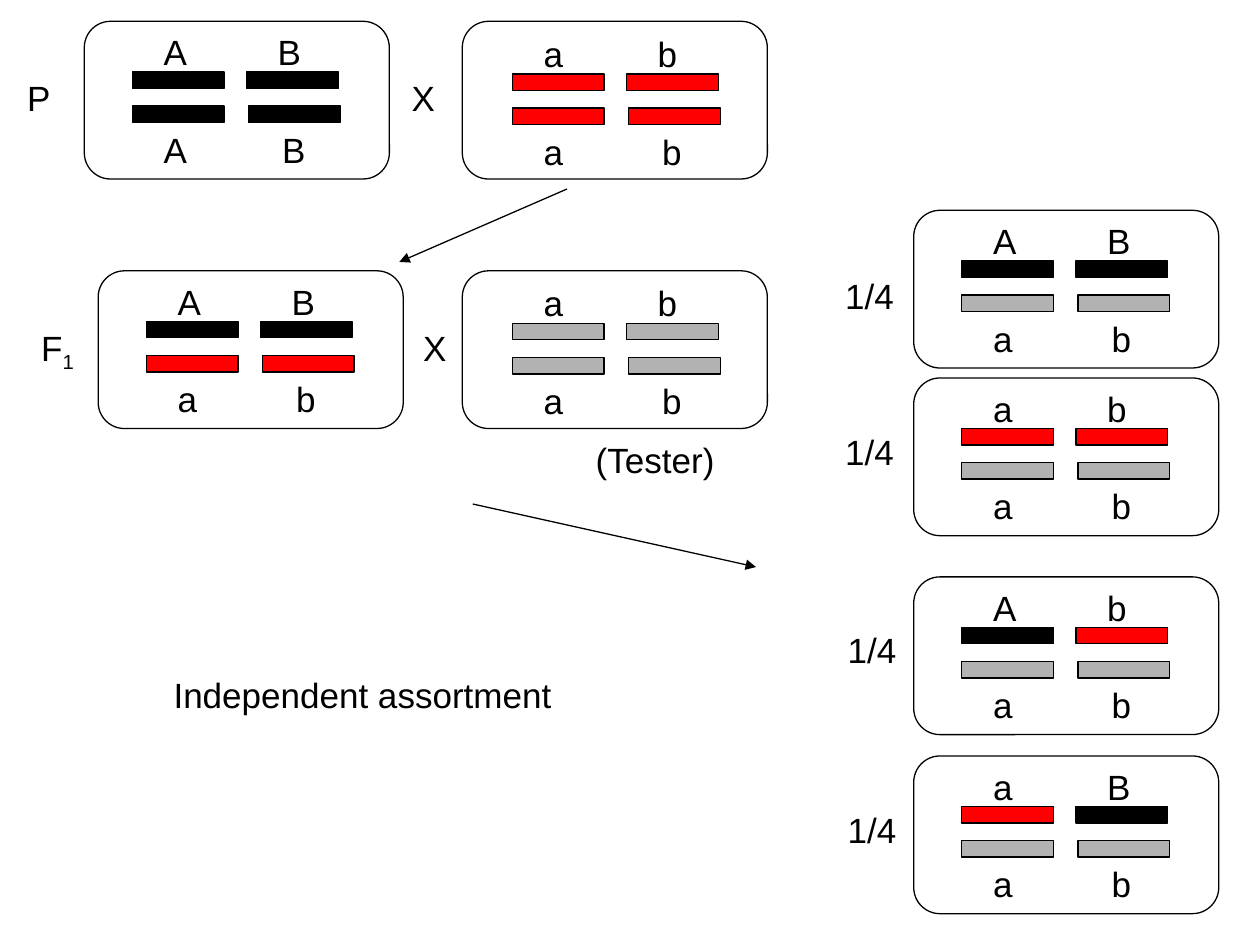
import pptx
import pptx.util
import pptx.dml.color
import pptx.enum.shapes
import pptx.enum.text
import pptx.oxml.ns
from lxml import etree

Cm, Pt = pptx.util.Cm, pptx.util.Pt
KIND = pptx.enum.shapes.MSO_SHAPE

BLACK, RED, GREY = "000000", "FF0000", "B2B2B2"
AB = [("A", BLACK), ("B", BLACK)]
RED_AB = [("a", RED), ("b", RED)]
TESTER = [("a", GREY), ("b", GREY)]
MIX_A = [("A", BLACK), ("b", RED)]
MIX_B = [("a", RED), ("B", BLACK)]

CELLS = [
    (1.7, 0.43, 0, AB, AB),
    (9.32, 0.43, 0.04, RED_AB, RED_AB),
    (1.98, 5.46, 0, AB, RED_AB),
    (9.32, 5.46, 0.04, TESTER, TESTER),
    (18.42, 4.24, 0, AB, TESTER),
    (18.42, 7.62, 0, RED_AB, TESTER),
    (18.42, 11.63, 0, MIX_A, TESTER),
    (18.42, 15.24, 0, MIX_B, TESTER),
]
CELL_W, CELL_H = 6.15, 3.18
BAR_W, BAR_H = 1.85, 0.33
ROWS = [
    {"bar_x": (0.97, 3.27), "bar_y": 1.02, "gene_x": (1.35, 3.65), "gene_y": 0.06},
    {"bar_x": (0.97, 3.31), "bar_y": 1.71, "gene_x": (1.35, 3.74), "gene_y": 2.03},
]

LABELS = [
    ("P", 0.3, 1.42, 1.07),
    ("X", 8.05, 1.42, 1.07),
    ("X", 8.28, 6.45, 1.07),
    ("(Tester)", 11.76, 8.71, 3.1),
    ("1/4", 16.79, 5.41, 1.55),
    ("1/4", 16.79, 8.56, 1.55),
    ("1/4", 16.84, 12.55, 1.55),
    ("1/4", 16.84, 16.18, 1.55),
    ("Independent assortment", 3.25, 13.46, 9.12),
]
ARROWS = [(11.43, 3.81, 8.05, 5.28), (9.53, 10.16, 15.24, 11.43)]

deck = pptx.Presentation()
deck.slide_width, deck.slide_height = Cm(25.4), Cm(19.05)
slide = deck.slides.add_slide(deck.slide_layouts[6])


def color(code):
    return pptx.dml.color.RGBColor.from_string(code)


def text(words, x, y, w=1.07, h=1.12, size=20, font="Arial", hue=BLACK, sub=""):
    box = slide.shapes.add_textbox(Cm(x), Cm(y), Cm(w), Cm(h))
    frame = box.text_frame
    frame.word_wrap = True
    frame.auto_size = pptx.enum.text.MSO_AUTO_SIZE.SHAPE_TO_FIT_TEXT
    for part in filter(None, (words, sub)):
        run = frame.paragraphs[0].add_run()
        run.text = part
        run.font.size, run.font.name = Pt(size), font
        run.font.color.rgb = color(hue)
    if sub:
        run.font._element.set("baseline", "-25000")


def block(kind, x, y, w, h, fill=None):
    shape = slide.shapes.add_shape(kind, Cm(x), Cm(y), Cm(w), Cm(h))
    shape.shadow.inherit = False
    shape.line.color.rgb = color(BLACK)
    shape.line.width = Pt(0.75)
    if fill:
        shape.fill.solid()
        shape.fill.fore_color.rgb = color(fill)
    else:
        shape.fill.background()


def cell(x, y, nudge, *pairs):
    block(KIND.ROUNDED_RECTANGLE, x, y, CELL_W, CELL_H)
    left, top = x + nudge, y + nudge
    for row, genes in zip(ROWS, pairs):
        for (gene, hue), bar_x, gene_x in zip(genes, row["bar_x"], row["gene_x"]):
            block(KIND.RECTANGLE, left + bar_x, top + row["bar_y"], BAR_W, BAR_H, hue)
            text(gene, left + gene_x, top + row["gene_y"])


def arrow(*ends):
    link = slide.shapes.add_connector(
        pptx.enum.shapes.MSO_CONNECTOR.STRAIGHT, *map(Cm, ends))
    link.line.color.rgb = color(BLACK)
    link.line.width = Pt(0.75)
    tip = etree.SubElement(link.line._get_or_add_ln(), pptx.oxml.ns.qn("a:tailEnd"))
    tip.set("type", "triangle")
    etree.SubElement(link._element.spPr, pptx.oxml.ns.qn("a:effectLst"))


for item in CELLS:
    cell(*item)
for item in LABELS:
    text(*item)
text("F", 0.58, 6.45, w=1.73, h=1.22, sub="1")
for item in ARROWS:
    arrow(*item)

deck.save("out.pptx")
